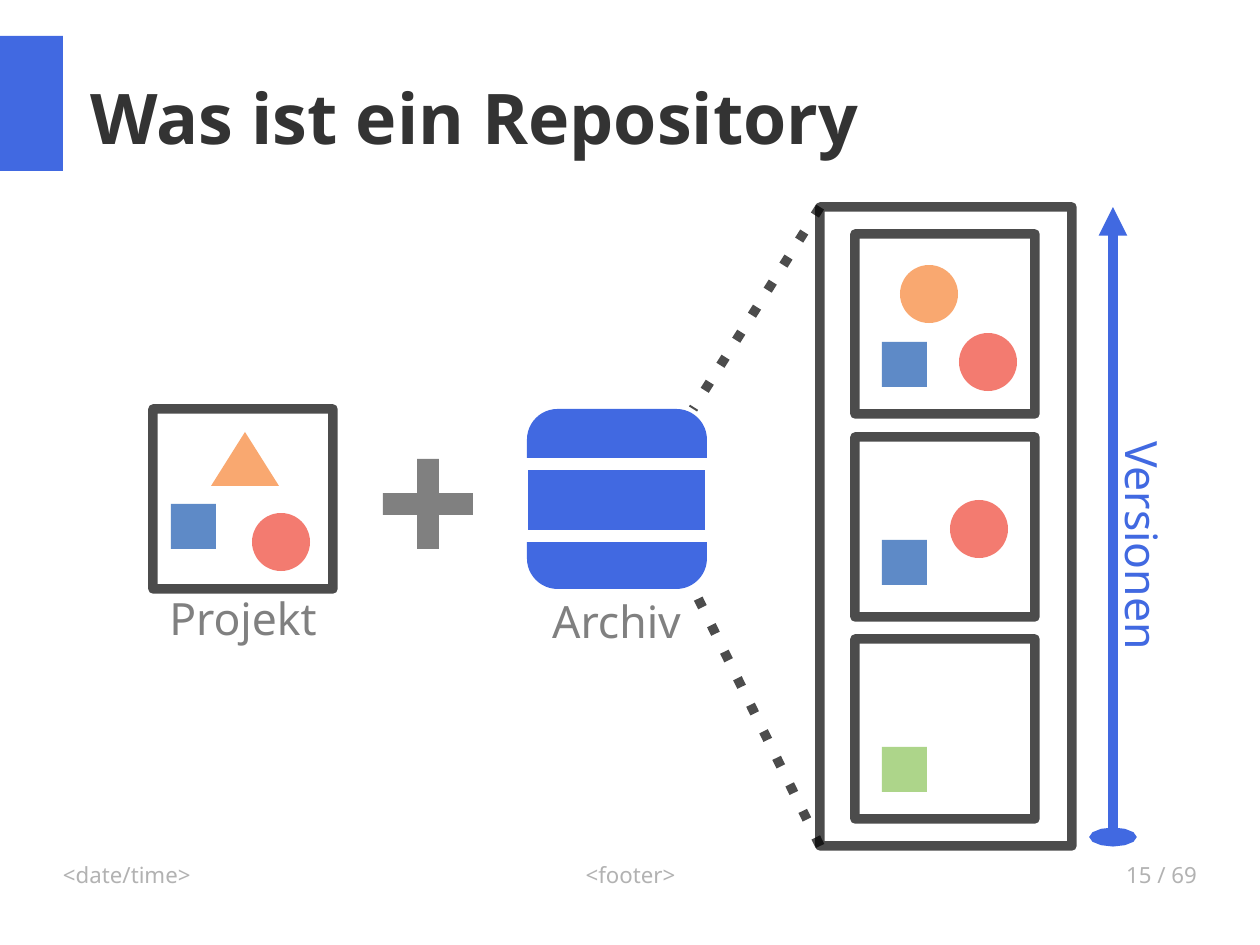
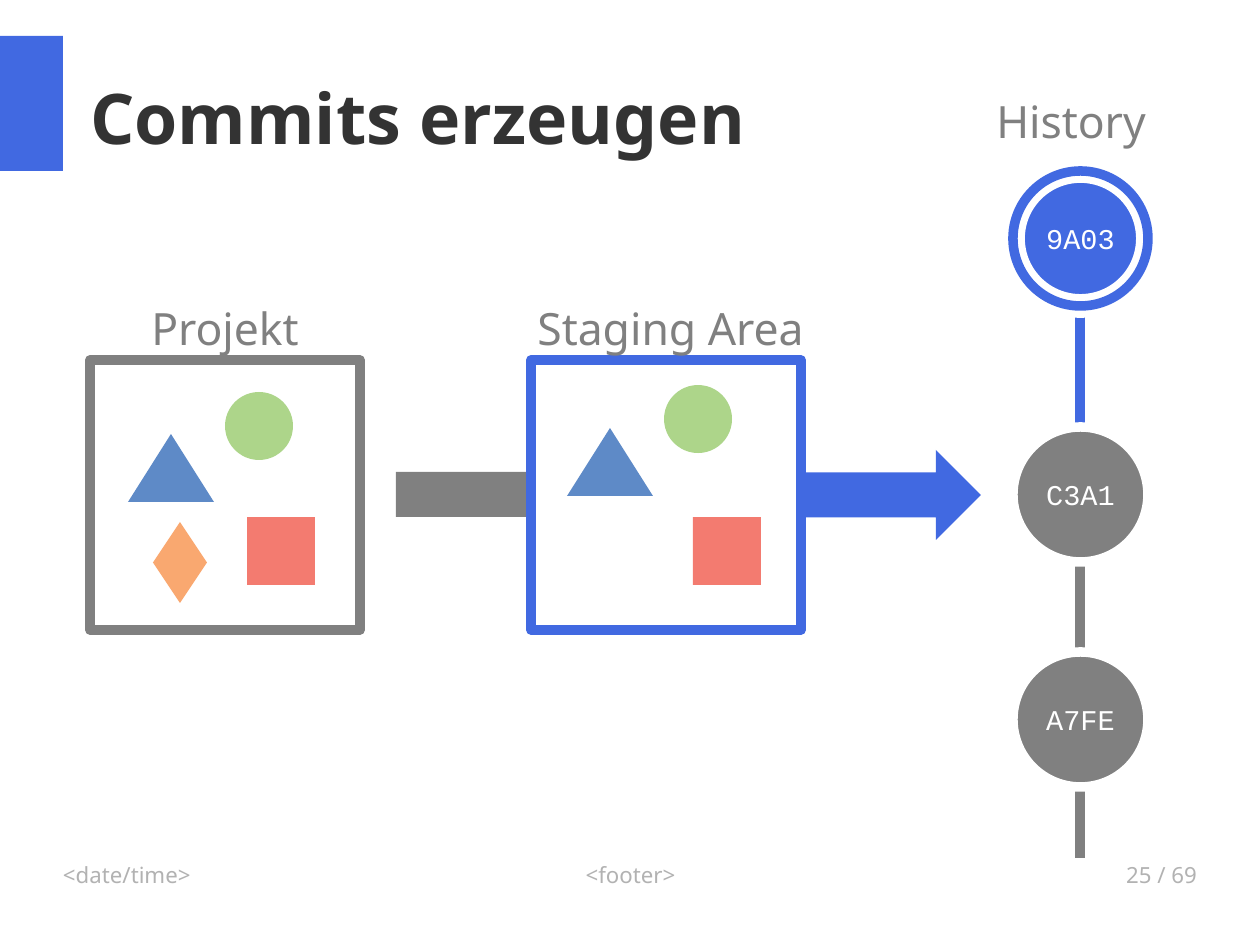
import pptx
import pptx.dml.color
import pptx.enum.shapes
import pptx.enum.text
import pptx.oxml.ns
import pptx.util
from lxml import etree

RGBColor = pptx.dml.color.RGBColor
BLUE = RGBColor(0x41, 0x69, 0xE1)
GRAY = RGBColor(0x80, 0x80, 0x80)
FOOTER_GRAY = RGBColor(0xB2, 0xB2, 0xB2)
TITLE_GRAY = RGBColor(0x33, 0x33, 0x33)
BLACK = RGBColor(0x00, 0x00, 0x00)
WHITE = RGBColor(0xFF, 0xFF, 0xFF)
STEEL = RGBColor(0x5E, 0x8A, 0xC7)
GREEN = RGBColor(0xAD, 0xD5, 0x8A)
RED = RGBColor(0xF3, 0x7B, 0x70)
ORANGE = RGBColor(0xF9, 0xA8, 0x70)

PX = 8000
SANS, MONO = "Noto Sans", "Courier New"
KIND = pptx.enum.shapes.MSO_SHAPE
ALIGN = pptx.enum.text.PP_ALIGN
ANCHOR = pptx.enum.text.MSO_ANCHOR
qn = pptx.oxml.ns.qn


def add_figure(slide, kind, box, fill=None, outline=None, points=6):
    """Add a preset shape; box is left, top, width, height in px."""
    shape = slide.shapes.add_shape(kind, *(value * PX for value in box))
    shape.shadow.inherit = False
    if fill is None:
        shape.fill.background()
    else:
        shape.fill.solid()
        shape.fill.fore_color.rgb = fill
    if outline is None:
        shape.line.fill.background()
    else:
        shape.line.color.rgb = outline
        shape.line.width = pptx.util.Pt(points)
        etree.SubElement(shape.element.spPr.find(qn("a:ln")), qn("a:round"))
    return shape


def write_text(shape, text, size, color, alignment=ALIGN.CENTER,
               anchor=ANCHOR.TOP, font=SANS, bold=False, margin=None, wrap=True):
    frame = shape.text_frame
    frame.text = text
    frame_format = {"word_wrap": wrap, "vertical_anchor": anchor,
                    "auto_size": pptx.enum.text.MSO_AUTO_SIZE.NONE}
    if margin is not None:
        for side in ("left", "top", "right", "bottom"):
            frame_format["margin_" + side] = margin
    for name, value in frame_format.items():
        setattr(frame, name, value)
    paragraph = frame.paragraphs[0]
    paragraph.alignment = alignment
    run_font = paragraph.runs[0].font
    for name, value in {"name": font, "size": pptx.util.Pt(size), "bold": bold}.items():
        setattr(run_font, name, value)
    run_font.color.rgb = color


presentation = pptx.Presentation()
presentation.slide_width = 1260 * PX
presentation.slide_height = 945 * PX

# Shared frame: accent bar, title and footer line
slides = []
for title, number in (("Was ist ein Repository", 15), ("Commits erzeugen", 25)):
    slide = presentation.slides.add_slide(presentation.slide_layouts[5])
    slides.append(slide)
    add_figure(slide, KIND.RECTANGLE, (0, 36, 63, 135), BLUE)
    placeholder = slide.shapes.title
    for name, value in {"left": 90, "top": 38, "width": 1106, "height": 158}.items():
        setattr(placeholder, name, value * PX)
    write_text(placeholder, title, 44, TITLE_GRAY, ALIGN.LEFT, ANCHOR.MIDDLE,
               bold=True, margin=0)
    for text, left, width, alignment in (
        ("<date/time>", 63, 294, ALIGN.LEFT),
        ("<footer>", 431, 399, ALIGN.CENTER),
        (f"{number} / 69", 903, 294, ALIGN.RIGHT),
    ):
        footer = slide.shapes.add_textbox(left * PX, 861 * PX, width * PX, 65 * PX)
        write_text(footer, text, 14, FOOTER_GRAY, alignment, margin=0)
repository, commits = slides

# Lines lie behind the figures
DOTTED, VERSION_ARROW = "dotted", "version arrow"
for slide, start, end, color, style in (
    (repository, (820, 207), (693, 409), BLACK, DOTTED),
    (repository, (820, 846), (693, 588), BLACK, DOTTED),
    (repository, (1113, 837), (1113, 207), BLUE, VERSION_ARROW),
    (commits, (1080, 306), (1080, 427), BLUE, None),
    (commits, (1080, 562), (1080, 652), GRAY, None),
    (commits, (1080, 787), (1080, 858), GRAY, None),
):
    connector = slide.shapes.add_connector(
        pptx.enum.shapes.MSO_CONNECTOR.STRAIGHT,
        *(value * PX for value in start + end))
    connector.line.color.rgb = color
    connector.line.width = pptx.util.Pt(6)
    properties = connector.element.spPr
    line = properties.find(qn("a:ln"))
    if style == DOTTED:
        dashes = etree.SubElement(line, qn("a:custDash"))
        etree.SubElement(dashes, qn("a:ds"), d="100000", sp="210000")
    etree.SubElement(line, qn("a:round"))
    if style == VERSION_ARROW:
        etree.SubElement(line, qn("a:headEnd"), type="oval", w="lg", len="sm")
        etree.SubElement(line, qn("a:tailEnd"), type="triangle", w="med", len="med")
    etree.SubElement(properties, qn("a:effectLst"))

# Repository: project, archive and stored versions
for left, top in ((855, 234), (855, 437), (855, 639), (153, 409)):
    add_figure(repository, KIND.RECTANGLE, (left, top, 180, 180), outline=BLACK)
archive = add_figure(repository, KIND.ROUNDED_RECTANGLE, (527, 409, 180, 180), BLUE)
archive.adjustments[0] = 0.17
add_figure(repository, KIND.RECTANGLE, (522, 464, 189, 72), BLUE, WHITE, 8)
plus = add_figure(repository, KIND.CROSS, (383, 459, 90, 90), GRAY)
plus.adjustments[0] = 0.38
for left, top, color in ((171, 504, STEEL), (882, 747, GREEN),
                         (882, 540, STEEL), (882, 342, STEEL)):
    add_figure(repository, KIND.RECTANGLE, (left, top, 45, 45), color)
for left, top, color in ((950, 500, RED), (900, 265, ORANGE),
                         (959, 333, RED), (252, 513, RED)):
    add_figure(repository, KIND.OVAL, (left, top, 58, 58), color)
add_figure(repository, KIND.ISOSCELES_TRIANGLE, (211, 432, 68, 54), ORANGE)
add_figure(repository, KIND.RECTANGLE, (820, 207, 252, 639), outline=BLACK)

# Commits: project to staging area to history
add_figure(commits, KIND.RECTANGLE, (396, 472, 135, 45), GRAY)
add_figure(commits, KIND.RIGHT_ARROW, (801, 450, 180, 90), BLUE)
for left, color in ((90, GRAY), (531, BLUE)):
    add_figure(commits, KIND.RECTANGLE, (left, 360, 270, 270), outline=color)
for kind, box, color in (
    (KIND.OVAL, (225, 392, 68, 68), GREEN),
    (KIND.ISOSCELES_TRIANGLE, (128, 434, 86, 68), STEEL),
    (KIND.RECTANGLE, (247, 517, 68, 68), RED),
    (KIND.DIAMOND, (153, 522, 54, 81), ORANGE),
    (KIND.OVAL, (664, 385, 68, 68), GREEN),
    (KIND.ISOSCELES_TRIANGLE, (567, 428, 86, 68), STEEL),
    (KIND.RECTANGLE, (693, 517, 68, 68), RED),
):
    add_figure(commits, kind, box, color)
for name, top, color, points in (("C3A1", 427, GRAY, 6), ("A7FE", 652, GRAY, 6),
                                 ("9A03", 171, BLUE, 15)):
    commit = add_figure(commits, KIND.OVAL, (1013, top, 135, 135), color, WHITE, points)
    write_text(commit, name, 18, WHITE, anchor=ANCHOR.MIDDLE, font=MONO, wrap=False)
add_figure(commits, KIND.OVAL, (1013, 171, 135, 135), outline=BLUE)

# Labels
for slide, text, box, color, anchor, rotation in (
    (repository, "Projekt", (153, 585, 180, 72), GRAY, ANCHOR.TOP, 0),
    (repository, "Archiv", (477, 588, 279, 133), GRAY, ANCHOR.TOP, 0),
    (repository, "Versionen", (889, 503, 495, 85), BLUE, ANCHOR.MIDDLE, 90),
    (commits, "Projekt", (90, 288, 270, 72), GRAY, ANCHOR.BOTTOM, 0),
    (commits, "Staging Area", (513, 288, 315, 72), GRAY, ANCHOR.BOTTOM, 0),
    (commits, "History", (936, 81, 270, 72), GRAY, ANCHOR.BOTTOM, 0),
):
    label = slide.shapes.add_textbox(*(value * PX for value in box))
    write_text(label, text, 28, color, anchor=anchor)
    if rotation:
        label.rotation = rotation
        label.text_frame.paragraphs[0].line_spacing = pptx.util.Pt(25.5)

# Black lines are 70 % opaque
for shape in repository.shapes:
    for color in shape.element.iter(qn("a:srgbClr")):
        if color.get("val") == str(BLACK):
            etree.SubElement(color, qn("a:alpha"), val="70000")

presentation.save("out.pptx")
